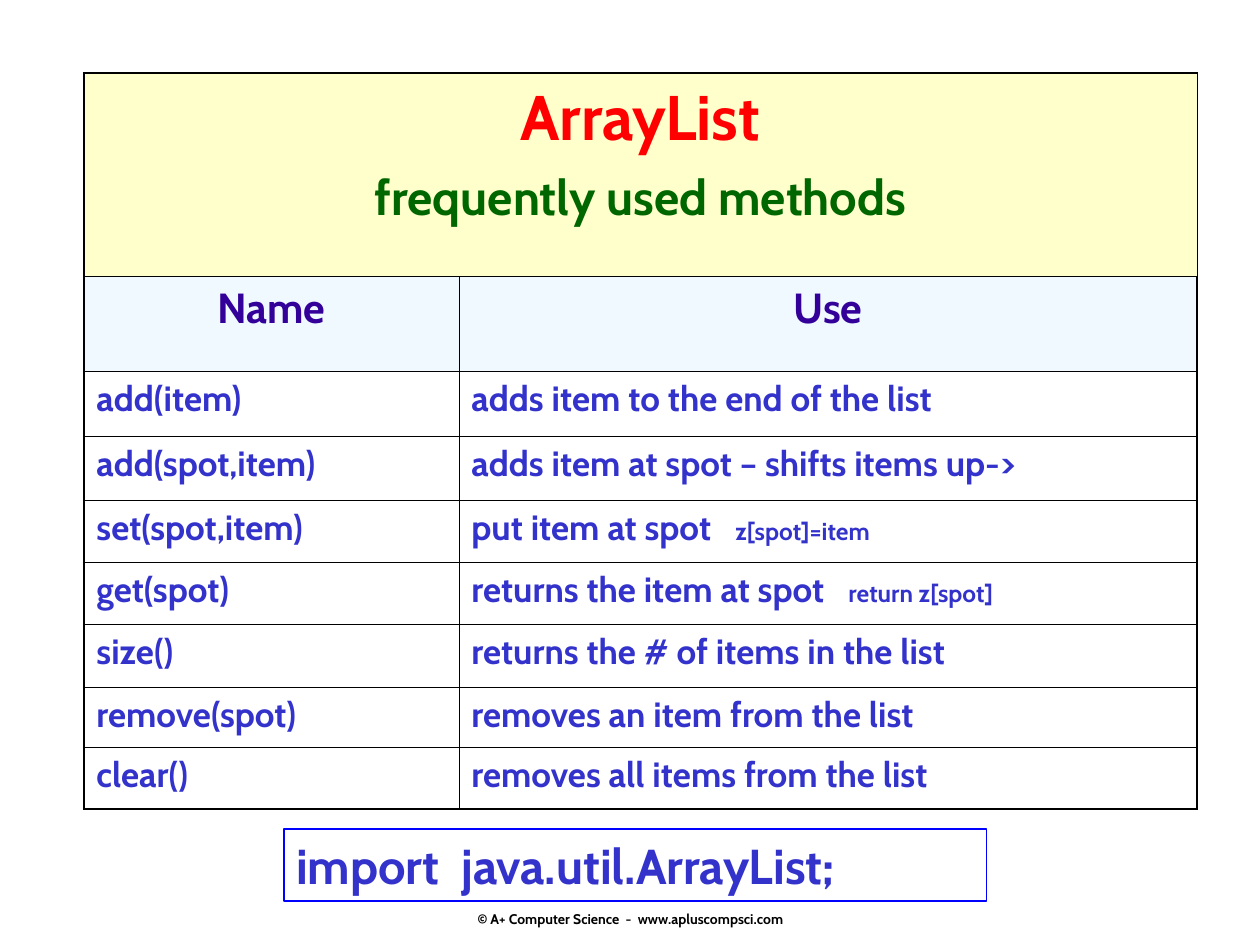
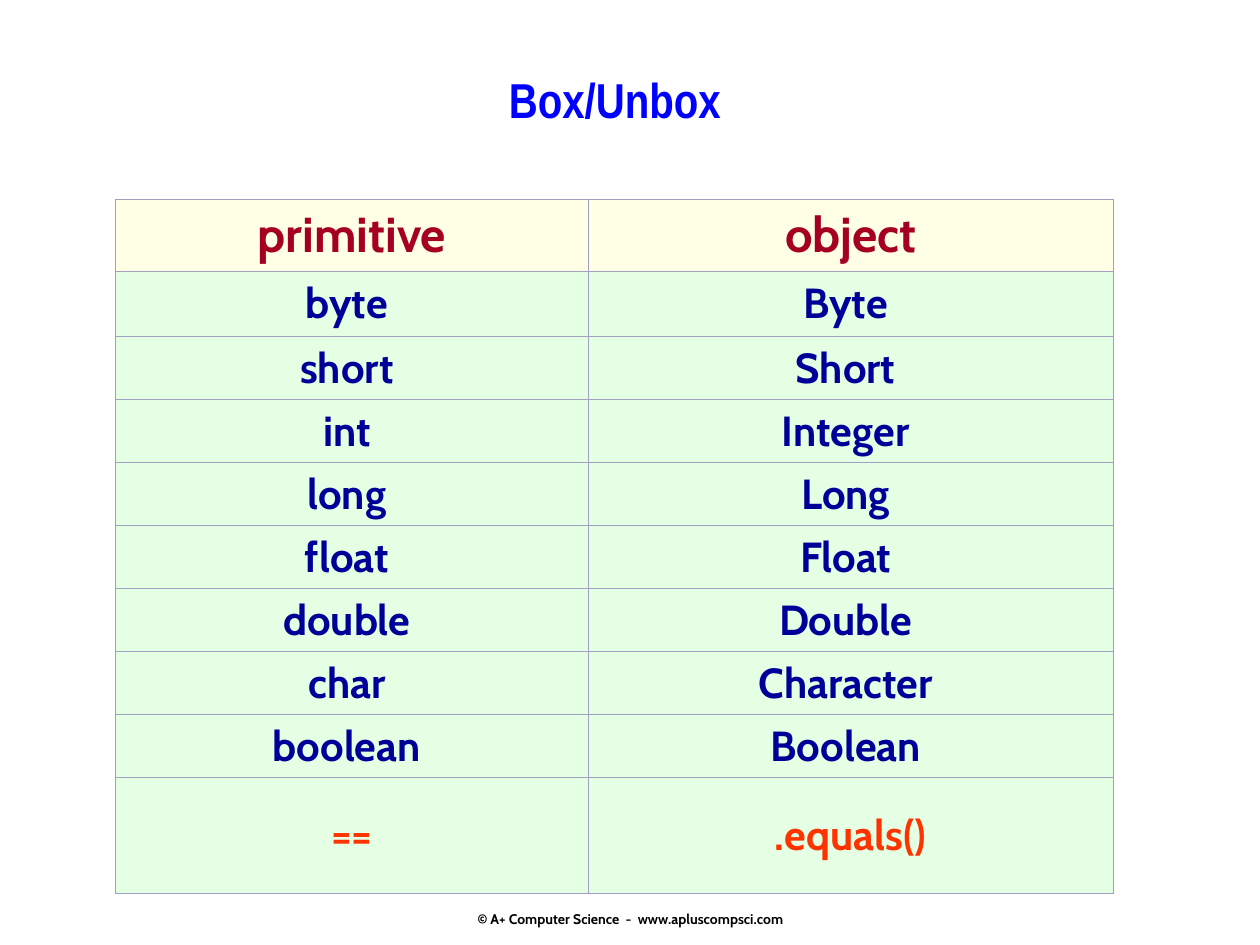
from lxml import etree
from pptx import Presentation
from pptx.dml.color import RGBColor
from pptx.enum.shapes import MSO_SHAPE
from pptx.enum.text import MSO_ANCHOR, PP_ALIGN
from pptx.oxml.ns import qn
from pptx.util import Cm, Pt

LEFT, MID = PP_ALIGN.LEFT, PP_ALIGN.CENTER
TOP, HALF = MSO_ANCHOR.TOP, MSO_ANCHOR.MIDDLE
RECT = MSO_SHAPE.RECTANGLE

BLACK = RGBColor(0x00, 0x00, 0x00)
RED = RGBColor(0xFF, 0x00, 0x00)
GREEN = RGBColor(0x00, 0x66, 0x00)
PURPLE = RGBColor(0x33, 0x00, 0x99)
INDIGO = RGBColor(0x33, 0x33, 0xCC)
BLUE = RGBColor(0x00, 0x00, 0xFF)
NAVY = RGBColor(0x00, 0x00, 0x99)
WINE = RGBColor(0xA5, 0x00, 0x21)
ORANGE = RGBColor(0xFF, 0x33, 0x00)
CREAM = RGBColor(0xFF, 0xFF, 0xCC)
SKY = RGBColor(0xE1, 0xF4, 0xFF)
MINT = RGBColor(0xCC, 0xFF, 0xCC)
GREY = RGBColor(0xA0, 0xA0, 0xC0)

FOOTER = "© A+ Computer Science  -  www.apluscompsci.com"
IMPORT = "import  java.util.ArrayList;"
TITLE = "Box/Unbox"

FONTS = {
    "foot": {"size": Pt(8), "color": BLACK},
    "name": {"size": Pt(36), "color": RED},
    "sub": {"size": Pt(28), "color": GREEN},
    "head": {"size": Pt(24), "color": PURPLE},
    "item": {"size": Pt(20), "color": INDIGO},
    "code": {"size": Pt(14), "color": INDIGO},
    "import": {"size": Pt(28), "color": INDIGO},
    "title": {"size": Pt(28), "color": BLUE, "name": "Arial Narrow"},
    "kind": {"size": Pt(28), "color": WINE},
    "type": {"size": Pt(24), "color": NAVY},
    "test": {"size": Pt(24), "color": ORANGE},
}
BASE = {"name": "Cabin", "bold": True}

METHODS = [
    ("add(item)", "adds item to the end of the list"),
    ("add(spot,item)", "adds item at spot – shifts items up->"),
    ("set(spot,item)", "put item at spot", "z[spot]=item", 5.32),
    ("get(spot)", "returns the item at spot", "return z[spot]", 7.6),
    ("size()", "returns the # of items in the list"),
    ("remove(spot)", "removes an item from the list"),
    ("clear()", "removes all items from the list"),
]
TYPES = [
    ("byte", "Byte"), ("short", "Short"), ("int", "Integer"), ("long", "Long"),
    ("float", "Float"), ("double", "Double"), ("char", "Character"),
    ("boolean", "Boolean"),
]
METHOD_GRID = {
    "spot": (1.69, 1.47), "cols": [7.56, 14.88],
    "rows": [4.11, 1.9, 1.31, 1.29, 1.25, 1.25, 1.27, 1.21, 1.25],
    "line": BLACK, "edge": 1.08,
}
TYPE_GRID = {
    "spot": (2.33, 4.02), "cols": [9.53, 10.58],
    "rows": [1.45, 1.31] + [1.27] * 7 + [2.34],
    "line": GREY, "edge": 0.45,
}
INNER = 0.45


def add_run(para, text, kind):
    run = para.add_run()
    run.text = text
    look = {**BASE, **FONTS[kind]}
    run.font.color.rgb = look.pop("color")
    for key, value in look.items():
        setattr(run.font, key, value)


def write(frame, text, kind, align=MID):
    para = frame.paragraphs[0]
    para.alignment = align
    add_run(para, text, kind)
    return para


def add_tab(para, place):
    stops = etree.SubElement(para._p.get_or_add_pPr(), qn("a:tabLst"))
    etree.SubElement(stops, qn("a:tab"), pos=str(Cm(place)), algn="l")


def add_foot(slide):
    box = slide.shapes.add_textbox(Cm(8.69), Cm(18.14), Cm(8.05), Cm(0.76))
    box.text_frame.vertical_anchor = HALF
    write(box.text_frame, FOOTER, "foot")


def add_edge(cell, side, color, width):
    line = etree.SubElement(cell._tc.get_or_add_tcPr(), qn(f"a:ln{side}"), w=str(Pt(width)))
    fill = etree.SubElement(line, qn("a:solidFill"))
    etree.SubElement(fill, qn("a:srgbClr"), val=str(color))


def add_grid(slide, grid):
    cols, rows = grid["cols"], grid["rows"]
    sizes = [*grid["spot"], sum(cols), sum(rows)]
    table = slide.shapes.add_table(len(rows), len(cols), *map(Cm, sizes)).table
    table.first_row = table.horz_banding = False
    for col, width in zip(table.columns, cols):
        col.width = Cm(width)
    for row, height in zip(table.rows, rows):
        row.height = Cm(height)
    for r in range(len(rows)):
        for c in range(len(cols)):
            outer = {"L": c == 0, "R": c == len(cols) - 1,
                     "T": r == 0, "B": r == len(rows) - 1}
            for side, rim in outer.items():
                add_edge(table.cell(r, c), side, grid["line"], grid["edge"] if rim else INNER)
            table.cell(r, c).fill.background()
    return table


def paint(cell, color, alpha=100):
    cell.fill.solid()
    cell.fill.fore_color.rgb = color
    if alpha < 100:
        tint = cell._tc.tcPr.find(qn("a:solidFill")).find(qn("a:srgbClr"))
        etree.SubElement(tint, qn("a:alpha"), val=str(alpha * 1000))


def show_list(deck):
    slide = deck.slides.add_slide(deck.slide_layouts[6])
    add_foot(slide)
    table = add_grid(slide, METHOD_GRID)
    top = table.cell(0, 0)
    top.merge(table.cell(0, 1))
    paint(top, CREAM)
    write(top.text_frame, "ArrayList", "name")
    sub = top.text_frame.add_paragraph()
    sub.alignment, sub.space_before = MID, Pt(7)
    add_run(sub, "frequently used methods", "sub")
    for c, text in enumerate(("Name", "Use")):
        paint(table.cell(1, c), SKY, 50)
        write(table.cell(1, c).text_frame, text, "head")
    for r, (name, use, *code) in enumerate(METHODS, 2):
        write(table.cell(r, 0).text_frame, name, "item", LEFT)
        para = write(table.cell(r, 1).text_frame, use, "item", LEFT)
        if code:
            add_tab(para, code[1])
            add_run(para, "\t" + code[0], "code")
    box = slide.shapes.add_shape(RECT, Cm(5.72), Cm(16.71), Cm(14.17), Cm(1.45))
    box.shadow.inherit = False
    box.fill.background()
    box.line.color.rgb, box.line.width = BLUE, Pt(1)
    box.text_frame.word_wrap = True
    box.text_frame.vertical_anchor = TOP
    write(box.text_frame, IMPORT, "import", LEFT)


def show_types(deck):
    slide = deck.slides.add_slide(deck.slide_layouts[5])
    add_foot(slide)
    title = slide.shapes.title
    place = {"left": 2.97, "top": 1.27, "width": 18.85, "height": 1.9}
    for key, value in place.items():
        setattr(title, key, Cm(value))
    title.text_frame.vertical_anchor = TOP
    write(title.text_frame, TITLE, "title")
    table = add_grid(slide, TYPE_GRID)
    lines = [("kind", ("primitive", "object"))]
    lines += [("type", pair) for pair in TYPES]
    lines += [("test", ("==", ".equals()"))]
    for r, (kind, pair) in enumerate(lines):
        for c, text in enumerate(pair):
            cell = table.cell(r, c)
            paint(cell, CREAM if kind == "kind" else MINT, 50)
            cell.vertical_anchor = HALF
            if kind == "type":
                cell.margin_right = Cm(0.46)
            write(cell.text_frame, text, kind)


def main():
    deck = Presentation()
    deck.slide_width, deck.slide_height = Cm(25.4), Cm(19.05)
    show_list(deck)
    show_types(deck)
    deck.save("out.pptx")


if __name__ == "__main__":
    main()
